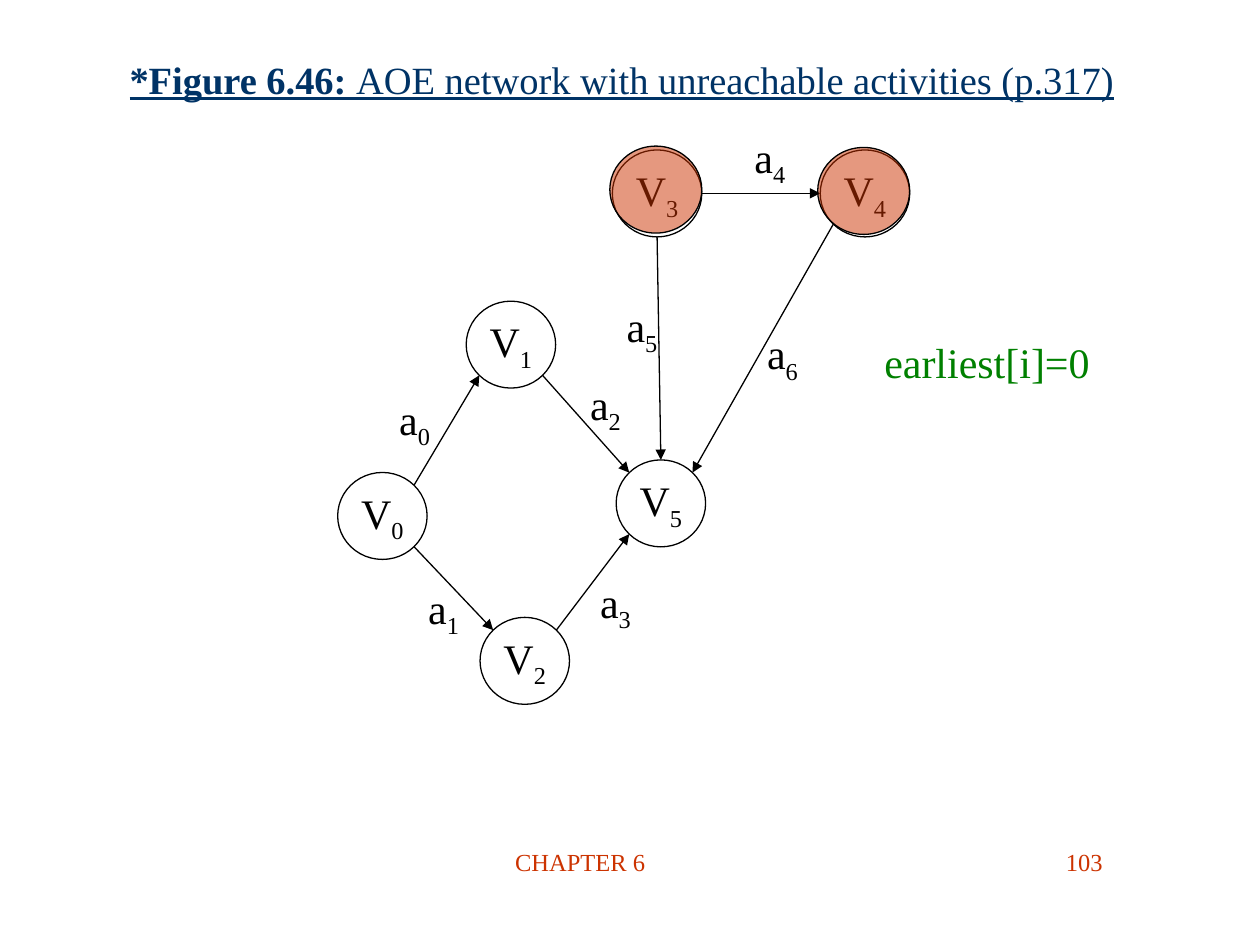
import dataclasses
import math
import typing

import pptx
import pptx.dml.color
import pptx.enum.shapes
import pptx.enum.text
import pptx.oxml
import pptx.oxml.ns
import pptx.util

Inches = pptx.util.Inches
Align = pptx.enum.text.PP_ALIGN
Anchor = pptx.enum.text.MSO_ANCHOR


@dataclasses.dataclass(frozen=True)
class Theme:
    font: str = "Times New Roman"
    ink: str = "000000"
    paper: str = "FFFFFF"
    heading: str = "003366"
    note: str = "008000"
    accent: str = "CC3300"
    title_size: int = 22
    graph_size: int = 24
    footer_size: int = 14
    line_width: float = 0.75
    highlight_opacity: int = 50


@dataclasses.dataclass(frozen=True)
class Box:
    left: float
    top: float
    width: float
    height: float

    def lengths(self) -> tuple:
        return tuple(Inches(value) for value in dataclasses.astuple(self))


@dataclasses.dataclass(frozen=True)
class Vertex:
    left: float
    top: float
    width: float = 0.71
    height: float = 0.69

    def rim(self, degrees: int) -> tuple:
        angle = math.radians(degrees)
        x = self.left + self.width / 2 * (1 + math.cos(angle))
        y = self.top + self.height / 2 * (1 - math.sin(angle))
        return Inches(x), Inches(y)


@dataclasses.dataclass(frozen=True)
class Activity:
    start: int
    leave: int
    end: int
    arrive: int
    label: Box


@dataclasses.dataclass(frozen=True)
class Piece:
    text: str
    size: int
    color: str
    bold: bool = False
    underline: bool = False
    subscript: bool = False


THEME = Theme()
LABEL_HEIGHT = 0.56

VERTICES = [
    Vertex(2.68, 3.75),
    Vertex(3.7, 2.39),
    Vertex(3.81, 4.9),
    Vertex(4.86, 1.19),
    Vertex(6.51, 1.19),
    Vertex(4.89, 3.65),
]
ACTIVITIES = [
    Activity(0, 45, 1, 225, Box(3.05, 3.07, 0.48, LABEL_HEIGHT)),
    Activity(0, 315, 2, 135, Box(3.28, 4.57, 0.48, LABEL_HEIGHT)),
    Activity(1, 315, 5, 135, Box(4.55, 2.95, 0.51, LABEL_HEIGHT)),
    Activity(2, 45, 5, 225, Box(4.62, 4.52, 0.53, LABEL_HEIGHT)),
    Activity(3, 0, 4, 180, Box(5.87, 0.99, 0.48, LABEL_HEIGHT)),
    Activity(3, 270, 5, 90, Box(4.82, 2.33, 0.55, LABEL_HEIGHT)),
    Activity(4, 225, 5, 45, Box(5.97, 2.55, 0.48, LABEL_HEIGHT)),
]
UNREACHABLE = [Box(4.84, 1.16, 0.73, 0.69), Box(6.49, 1.17, 0.73, 0.69)]


def rgb(color: str) -> pptx.dml.color.RGBColor:
    return pptx.dml.color.RGBColor.from_string(color)


def write(frame, pieces: typing.Sequence[Piece], align, anchor, wrap: bool) -> None:
    frame.word_wrap = wrap
    frame.vertical_anchor = anchor
    paragraph = frame.paragraphs[0]
    paragraph.alignment = align
    for piece in pieces:
        run = paragraph.add_run()
        run.text = piece.text
        run.font.name = THEME.font
        run.font.size = pptx.util.Pt(piece.size)
        run.font.color.rgb = rgb(piece.color)
        run.font.bold = piece.bold
        run.font.underline = piece.underline
        if piece.subscript:
            run.font._element.set("baseline", "-25000")


def add_text(shapes, box: Box, pieces: typing.Sequence[Piece], align=Align.LEFT,
             anchor=Anchor.MIDDLE, wrap: bool = True) -> None:
    frame = shapes.add_textbox(*box.lengths()).text_frame
    write(frame, pieces, align, anchor, wrap)


def indexed(letter: str, index: int) -> list:
    return [
        Piece(letter, THEME.graph_size, THEME.ink),
        Piece(str(index), THEME.graph_size, THEME.ink, subscript=True),
    ]


def add_circle(shapes, box: Box, fill: str):
    circle = shapes.add_shape(pptx.enum.shapes.MSO_SHAPE.OVAL, *box.lengths())
    circle.shadow.inherit = False
    circle.fill.solid()
    circle.fill.fore_color.rgb = rgb(fill)
    circle.line.color.rgb = rgb(THEME.ink)
    circle.line.width = pptx.util.Pt(THEME.line_width)
    return circle


def add_vertex(shapes, vertex: Vertex, index: int) -> None:
    circle = add_circle(shapes, Box(*dataclasses.astuple(vertex)), THEME.paper)
    write(circle.text_frame, indexed("V", index), Align.CENTER, Anchor.MIDDLE, False)


def add_arrow(shapes, activity: Activity) -> None:
    arrow = shapes.add_connector(
        pptx.enum.shapes.MSO_CONNECTOR.STRAIGHT,
        *VERTICES[activity.start].rim(activity.leave),
        *VERTICES[activity.end].rim(activity.arrive),
    )
    arrow.line.color.rgb = rgb(THEME.ink)
    arrow.line.width = pptx.util.Pt(THEME.line_width)
    head = pptx.oxml.parse_xml(
        f'<a:tailEnd {pptx.oxml.ns.nsdecls("a")} type="triangle"/>')
    arrow.line._get_or_add_ln().append(head)
    arrow._element.spPr.append(
        pptx.oxml.parse_xml(f'<a:effectLst {pptx.oxml.ns.nsdecls("a")}/>'))


def add_highlight(shapes, box: Box) -> None:
    circle = add_circle(shapes, box, THEME.accent)
    color = circle._element.spPr.find(pptx.oxml.ns.qn("a:solidFill"))[0]
    color.append(pptx.oxml.parse_xml(
        f'<a:alpha {pptx.oxml.ns.nsdecls("a")} val="{THEME.highlight_opacity * 1000}"/>'))


def main() -> None:
    deck = pptx.Presentation()
    deck.slide_width, deck.slide_height = Inches(10), Inches(7.5)
    shapes = deck.slides.add_slide(deck.slide_layouts[6]).shapes

    add_text(shapes, Box(3.02, 6.67, 3.17, 0.5),
             [Piece("CHAPTER 6", THEME.footer_size, THEME.accent)],
             Align.CENTER, Anchor.TOP)
    add_text(shapes, Box(6.77, 6.67, 2.08, 0.5),
             [Piece("103", THEME.footer_size, THEME.accent)],
             Align.RIGHT, Anchor.TOP)
    add_text(shapes, Box(0.93, 0, 8.5, 1.25), [
        Piece("*Figure 6.46: ", THEME.title_size, THEME.heading, True, True),
        Piece("AOE network with unreachable activities (p.317)",
              THEME.title_size, THEME.heading, underline=True),
    ])

    network = shapes.add_group_shape().shapes
    for index, vertex in enumerate(VERTICES):
        add_vertex(network, vertex, index)
    for activity in ACTIVITIES:
        add_arrow(network, activity)
    for index, activity in enumerate(ACTIVITIES):
        add_text(shapes, activity.label, indexed("a", index), Align.CENTER, wrap=False)

    add_text(shapes, Box(6.92, 2.62, 1.83, 0.5),
             [Piece("earliest[i]=0", THEME.graph_size, THEME.note)], wrap=False)
    for box in UNREACHABLE:
        add_highlight(shapes, box)

    deck.save("out.pptx")


if __name__ == "__main__":
    main()
